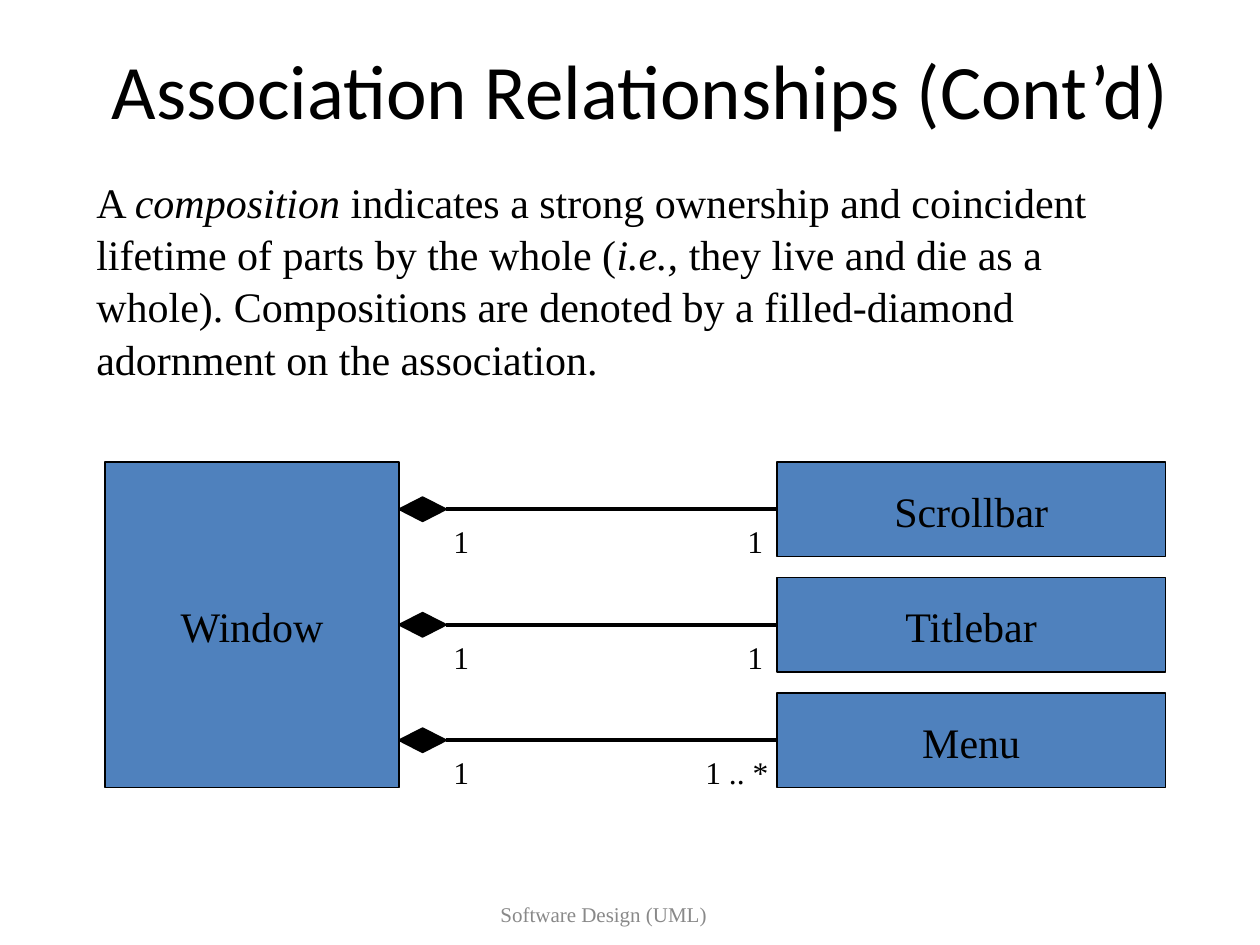
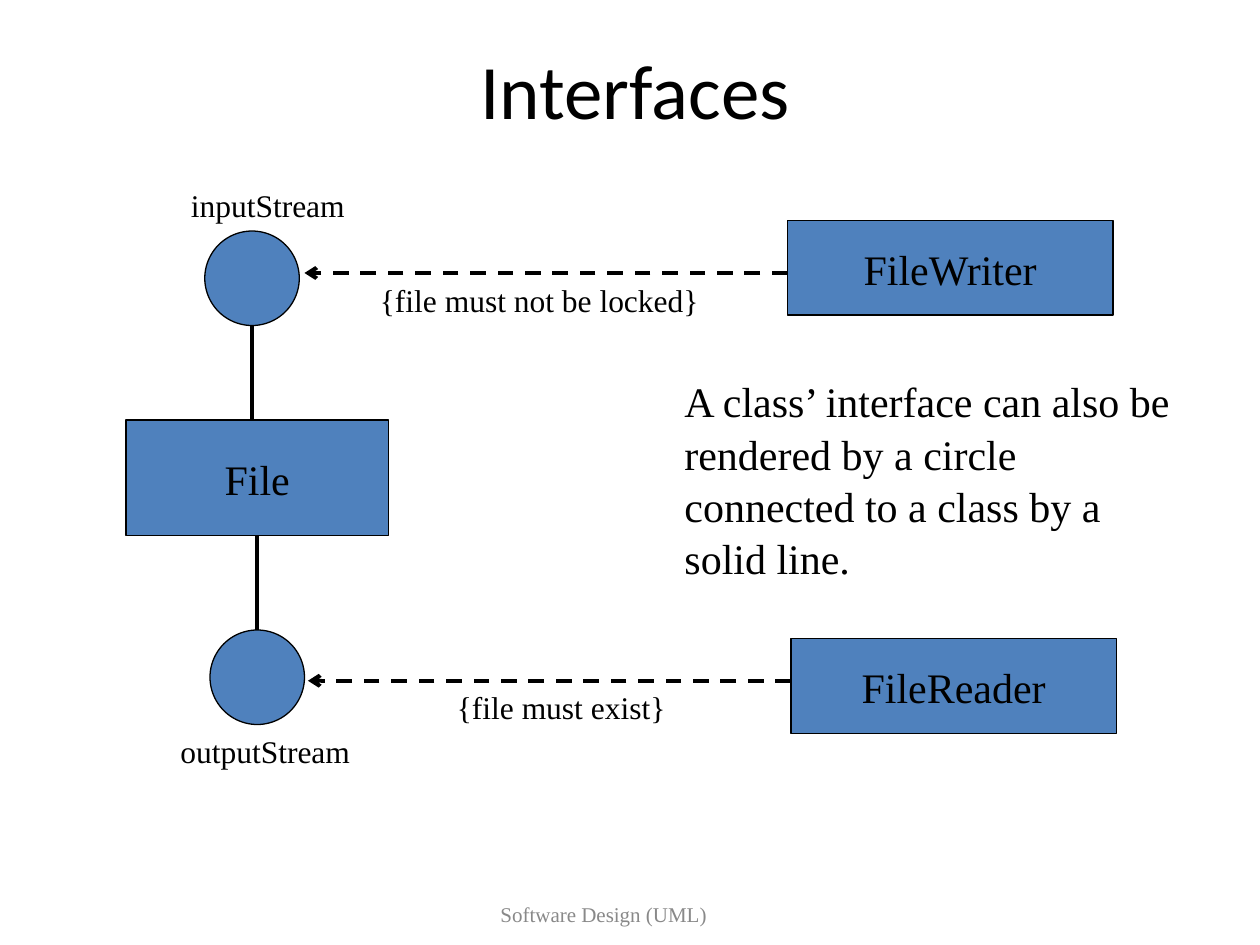
"""Build two UML slides on composition and on interfaces."""
from dataclasses import dataclass

from lxml import etree
from pptx import Presentation
from pptx.dml.color import RGBColor
from pptx.enum import dml, shapes, text
from pptx.oxml import ns
from pptx.util import Pt


@dataclass(frozen=True)
class Theme:
    """Hold the colours, fonts and sizes that both slides share."""
    ink: RGBColor = RGBColor(0, 0, 0)
    node: RGBColor = RGBColor(0x4F, 0x81, 0xBD)
    muted: RGBColor = RGBColor(0x89, 0x89, 0x89)
    heading_font: str = "Calibri"
    body_font: str = "Times New Roman"
    title: int = 44
    body: int = 24
    label: int = 18
    footer: int = 12
    outline: float = 0.75
    link: float = 2.25
    leading: float = 1.04


THEME = Theme()
CENTER = text.PP_ALIGN.CENTER
MIDDLE = text.MSO_ANCHOR.MIDDLE


def write(frame, runs, size, font=THEME.body_font, color=THEME.ink,
          align=text.PP_ALIGN.LEFT, leading=THEME.leading):
    """Fill a text frame with (words, italic) runs."""
    paragraph = frame.paragraphs[0]
    paragraph.alignment = align
    paragraph.line_spacing = leading
    for words, italic in runs:
        run = paragraph.add_run()
        run.text = words
        run.font.name, run.font.size = font, Pt(size)
        run.font.italic = italic
        run.font.color.rgb = color


def add_text(slide, box, runs, size, anchor=text.MSO_ANCHOR.TOP, **style):
    """Add a wrapping text box."""
    frame = slide.shapes.add_textbox(*map(Pt, box)).text_frame
    frame.word_wrap = True
    frame.vertical_anchor = anchor
    write(frame, runs, size, **style)


def add_label(slide, left, top, width, words):
    """Add a small diagram label."""
    add_text(slide, (left, top, width, 28.8), [(words, False)], THEME.label)


def paint(shape, fill, width):
    """Give a shape a flat fill and a dark outline."""
    shape.shadow.inherit = False
    shape.fill.solid()
    shape.fill.fore_color.rgb = fill
    shape.line.color.rgb = THEME.ink
    shape.line.width = Pt(width)


def add_class(slide, box, name):
    """Add a class rectangle with its name."""
    rectangle = slide.shapes.add_shape(shapes.MSO_SHAPE.RECTANGLE, *map(Pt, box))
    paint(rectangle, THEME.node, THEME.outline)
    rectangle.text_frame.word_wrap = False
    rectangle.text_frame.vertical_anchor = MIDDLE
    write(rectangle.text_frame, [(name, False)], THEME.body, align=CENTER)
    return rectangle


def add_interface(slide, left, top):
    """Add an interface circle."""
    circle = slide.shapes.add_shape(
        shapes.MSO_SHAPE.OVAL, Pt(left), Pt(top), Pt(54), Pt(54))
    paint(circle, THEME.node, THEME.outline)


def add_link(slide, start, end):
    """Add a solid association line."""
    link = slide.shapes.add_connector(
        shapes.MSO_CONNECTOR.STRAIGHT, *map(Pt, (*start, *end)))
    link.line.color.rgb = THEME.ink
    link.line.width = Pt(THEME.link)
    etree.SubElement(link._element.spPr, ns.qn("a:effectLst"))
    return link


def add_dependency(slide, start, end):
    """Add a dashed line with an open arrowhead at its end."""
    link = add_link(slide, start, end)
    link.line.dash_style = dml.MSO_LINE.DASH
    etree.SubElement(link.line._get_or_add_ln(), ns.qn("a:tailEnd"), type="arrow")


def add_diamond(slide, left, middle):
    """Add the filled diamond of a composition."""
    builder = slide.shapes.build_freeform(Pt(left), Pt(middle))
    half_width, half_height = 13.5, 6.9
    builder.add_line_segments([
        (Pt(left + half_width), Pt(middle - half_height)),
        (Pt(left + 2 * half_width), Pt(middle)),
        (Pt(left + half_width), Pt(middle + half_height))], close=True)
    paint(builder.convert_to_shape(), THEME.ink, 1)


def add_slide(deck, title, left, width):
    """Add a blank slide with its title and the shared footer."""
    slide = deck.slides.add_slide(deck.slide_layouts[6])
    add_text(slide, (left, 30, width, 42), [(title, False)], THEME.title, MIDDLE,
             font=THEME.heading_font, align=CENTER, leading=1.0)
    add_text(slide, (186, 504, 318, 36), [("Software Design (UML)", False)],
             THEME.footer, MIDDLE, color=THEME.muted, align=CENTER)
    return slide


def build_composition(deck):
    """Show a window that owns three parts."""
    slide = add_slide(deck, "Association Relationships (Cont’d)", 48, 636)
    add_text(slide, (48, 96, 618, 122.4), [
        ("A ", False), ("composition ", True),
        ("indicates a strong ownership and coincident lifetime of parts "
         "by the whole (", False),
        ("i.e.,", True),
        (" they live and die as a whole). Compositions are denoted by a "
         "filled-diamond adornment on the association.", False)], THEME.body)
    add_class(slide, (60, 264, 168, 186), "Window")
    parts = [("Scrollbar", "1", 420, 24), ("Titlebar", "1", 420, 24),
             ("Menu", "1 .. *", 396, 60)]
    for row, (name, count, count_left, count_width) in enumerate(parts):
        top = 264 + 66 * row
        middle = top + 27
        part = add_class(slide, (444, top, 222, 54), name)
        add_link(slide, (255, middle), (444, middle)).end_connect(part, 1)
        add_diamond(slide, 228, middle)
        add_label(slide, 252, top + 30, 24, "1")
        add_label(slide, count_left, top + 30, count_width, count)


def build_interfaces(deck):
    """Show a file class with two interfaces and their users."""
    slide = add_slide(deck, "Interfaces", 54, 618)
    add_text(slide, (384, 210, 300, 122.4), [
        ("A class’ interface can also be rendered by a circle connected "
         "to a class by a solid line.", False)], THEME.body)
    file_class = add_class(slide, (72, 240, 150, 66), "File")
    add_interface(slide, 117, 132)
    add_link(slide, (144, 186), (144, 240))
    add_interface(slide, 120, 360)
    add_link(slide, (147, 360), (147, 306)).end_connect(file_class, 2)
    add_label(slide, 102, 102, 120, "inputStream")
    add_label(slide, 96, 414, 120, "outputStream")
    users = [
        ("FileWriter", 450, 126, 156, 174, 210, 228, "{file must not be locked}"),
        ("FileReader", 452, 365, 389, 176, 254, 144, "{file must exist}")]
    for name, left, top, arrow, tip, rule_left, rule_width, rule in users:
        add_class(slide, (left, top, 186, 54), name)
        add_dependency(slide, (left, arrow), (tip, arrow))
        add_label(slide, rule_left, arrow, rule_width, rule)


def main():
    """Build and save the deck."""
    deck = Presentation()
    deck.slide_width, deck.slide_height = Pt(720), Pt(540)
    build_composition(deck)
    build_interfaces(deck)
    deck.save("out.pptx")


if __name__ == "__main__":
    main()
